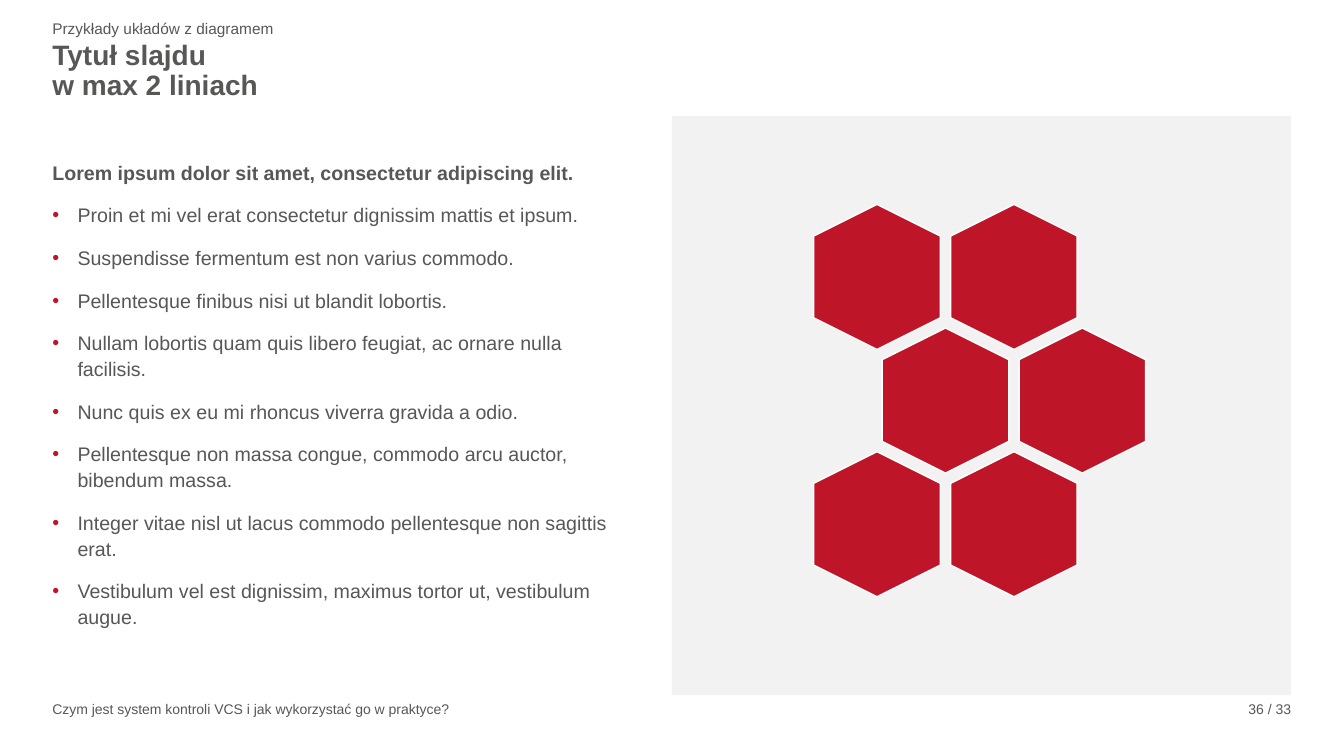
import pptx
import pptx.dml.color
import pptx.enum.shapes
import pptx.enum.text
import pptx.oxml
import pptx.oxml.ns
import pptx.util

Pt = pptx.util.Pt
ALIGN = pptx.enum.text.PP_ALIGN
ANCHOR = pptx.enum.text.MSO_ANCHOR
SHAPE = pptx.enum.shapes.MSO_SHAPE

GREY = "575756"
RED = "BF1528"
MARGIN = 37.4
BULLET_INDENT = 18


def color(hex_string):
    return pptx.dml.color.RGBColor.from_string(hex_string)


def add_text(lines, left, top, width, height, size=14, bold_lines=0, bullets=False,
             align=ALIGN.LEFT, anchor=ANCHOR.TOP, inset=3.6, spacing=1.0, after=0):
    """Add a text box; the first bold_lines paragraphs are bold, the rest may be bulleted."""
    box = slide.shapes.add_textbox(Pt(left), Pt(top), Pt(width), Pt(height))
    frame = box.text_frame
    frame.word_wrap = True
    frame.vertical_anchor = anchor
    frame.margin_left = frame.margin_right = 0
    frame.margin_top = frame.margin_bottom = Pt(inset)
    for index, line in enumerate(lines):
        paragraph = frame.paragraphs[0] if index == 0 else frame.add_paragraph()
        paragraph.text = line
        paragraph.alignment = align
        paragraph.line_spacing = spacing
        paragraph.space_after = Pt(after)
        for run in paragraph.runs:
            run.font.name = "Arial"
            run.font.size = Pt(size)
            run.font.bold = index < bold_lines
            run.font.color.rgb = color(GREY)
        if bullets and index >= bold_lines:
            properties = paragraph._p.get_or_add_pPr()
            properties.set("marL", str(Pt(BULLET_INDENT)))
            properties.set("indent", str(-Pt(BULLET_INDENT)))
            namespace = pptx.oxml.ns.nsdecls("a")
            for xml in (f'<a:buClr {namespace}><a:srgbClr val="{RED}"/></a:buClr>',
                        f'<a:buFont {namespace} typeface="Arial"/>',
                        f'<a:buChar {namespace} char="•"/>'):
                properties.append(pptx.oxml.parse_xml(xml))


presentation = pptx.Presentation()
presentation.slide_width = Pt(960)
presentation.slide_height = Pt(540)
slide = presentation.slides.add_slide(presentation.slide_layouts[6])

# Panel behind the hexagons
panel = slide.shapes.add_shape(SHAPE.RECTANGLE, Pt(480), Pt(82.8), Pt(442.2), Pt(413.8))
panel.shadow.inherit = False
panel.fill.solid()
panel.fill.fore_color.rgb = color("F2F2F2")
panel.line.fill.background()

# Heading and footer
add_text(["Przykłady układów z diagramem"], MARGIN, 12.2, 748, 14.4, size=11,
         anchor=ANCHOR.MIDDLE, spacing=1.1, after=12)
add_text(["Tytuł slajdu\vw max 2 liniach"], MARGIN, 25.9, 748, 56.9, size=20,
         bold_lines=1, spacing=0.9)
add_text(["Czym jest system kontroli VCS i jak wykorzystać go w praktyce?"],
         MARGIN, 500.4, 850, 14.4, size=10, inset=0)
add_text(["36 / 33"], 787, 500.4, 135.2, 14.4, size=10, align=ALIGN.RIGHT, inset=0)

# Honeycomb: two hexagons a row, every second row shifted by half a step
HEXAGON_LENGTH, HEXAGON_WIDTH = 103.6, 90.4
COLUMN_STEP, ROW_STEP = 97.8, 88.3
for row in range(3):
    for column in range(2):
        hexagon = slide.shapes.add_shape(
            SHAPE.HEXAGON,
            Pt(574.6 + (column + row % 2 / 2) * COLUMN_STEP), Pt(152.6 + row * ROW_STEP),
            Pt(HEXAGON_LENGTH), Pt(HEXAGON_WIDTH))
        hexagon.rotation = 90
        hexagon.adjustments[0] = 0.25
        hexagon.shadow.inherit = False
        hexagon.fill.solid()
        hexagon.fill.fore_color.rgb = color(RED)
        hexagon.line.color.rgb = color("FFFFFF")
        hexagon.line.width = Pt(1)

# Body text
add_text([
    "Lorem ipsum dolor sit amet, consectetur adipiscing elit.",
    "Proin et mi vel erat consectetur dignissim mattis et ipsum.",
    "Suspendisse fermentum est non varius commodo.",
    "Pellentesque finibus nisi ut blandit lobortis.",
    "Nullam lobortis quam quis libero feugiat, ac ornare nulla facilisis.",
    "Nunc quis ex eu mi rhoncus viverra gravida a odio.",
    "Pellentesque non massa congue, commodo arcu auctor, bibendum massa.",
    "Integer vitae nisl ut lacus commodo pellentesque non sagittis erat.",
    "Vestibulum vel est dignissim, maximus tortor ut, vestibulum augue.",
], MARGIN, 109.4, 408.2, 353.5, bold_lines=1, bullets=True, spacing=1.1, after=12)

presentation.save("out.pptx")
